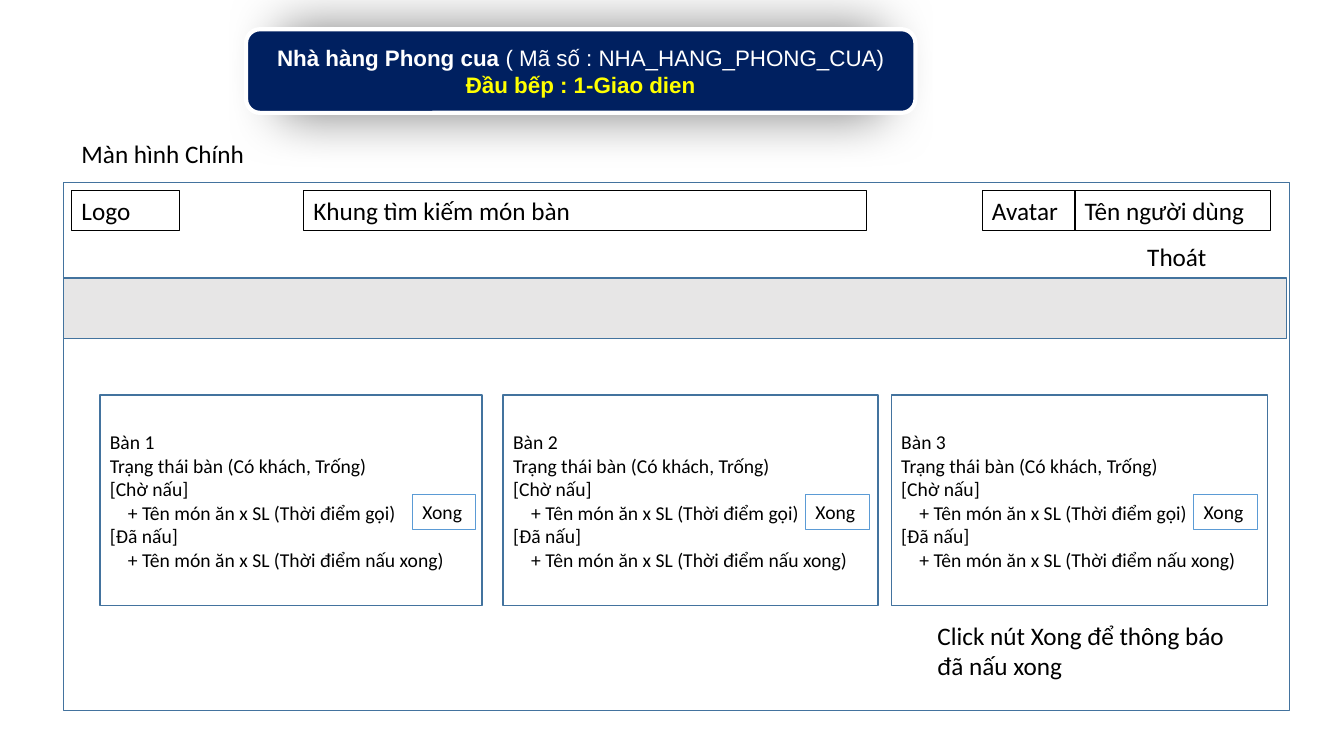
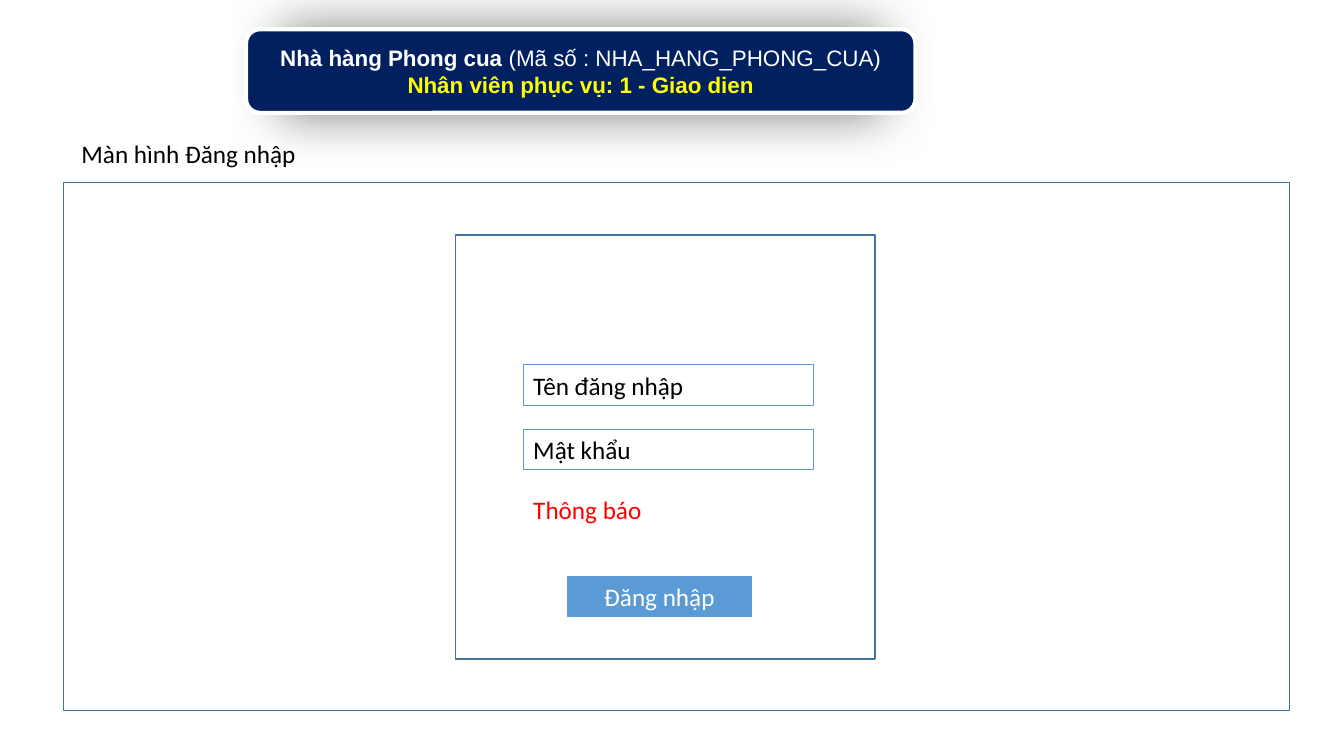
from lxml.etree import SubElement
from pptx import Presentation
from pptx.dml.color import RGBColor
from pptx.enum.shapes import MSO_SHAPE
from pptx.enum.text import MSO_ANCHOR, PP_ALIGN
from pptx.oxml.ns import qn
from pptx.util import Inches, Pt

BLACK = RGBColor(0x00, 0x00, 0x00)
WHITE = RGBColor(0xFF, 0xFF, 0xFF)
RED = RGBColor(0xFF, 0x00, 0x00)
YELLOW = RGBColor(0xFF, 0xFF, 0x00)
NAVY = RGBColor(0x00, 0x20, 0x60)
STEEL = RGBColor(0x43, 0x73, 0x9E)
BLUE = RGBColor(0x5B, 0x9B, 0xD5)
GRAY = RGBColor(0xE7, 0xE6, 0xE6)

FIELD_H = 0.4


def add_box(s, at, lines=(), size=18, color=BLACK, font="Calibri", fill=None, line=None,
            width=0.75, align=PP_ALIGN.LEFT, anchor=MSO_ANCHOR.TOP, shape=MSO_SHAPE.RECTANGLE):
    """Add a box; a line of text is a string or a list of (text, bold, color) runs."""
    at = [Inches(v) for v in at]
    if fill is None and line is None:
        sp = s.shapes.add_textbox(*at)
    else:
        sp = s.shapes.add_shape(shape, *at)
        sp.shadow.inherit = False
        if fill is None:
            sp.fill.background()
        else:
            sp.fill.solid()
            sp.fill.fore_color.rgb = fill
        sp.line.color.rgb = line
        sp.line.width = Pt(width)
    tf = sp.text_frame
    tf.word_wrap = True
    tf.vertical_anchor = anchor
    for i, runs in enumerate(lines):
        p = tf.add_paragraph() if i else tf.paragraphs[0]
        p.alignment = align
        if isinstance(runs, str):
            if runs.startswith("+"):
                p._p.get_or_add_pPr().set("marL", str(Inches(0.18)))
            runs = [(runs, False, color)]
        for text, bold, run_color in runs:
            r = p.add_run()
            r.text = text
            r.font.name = font
            r.font.size = Pt(size)
            r.font.bold = bold
            r.font.color.rgb = run_color
    return sp


def add_screen(prs, code, role, name):
    """Add a slide with the title banner, the screen name and the screen frame."""
    s = prs.slides.add_slide(prs.slide_layouts[6])
    title = [[("Nhà hàng Phong cua ", True, WHITE), (code, False, WHITE)],
             [(role, True, YELLOW)]]
    banner = add_box(s, (2.44, 0.29, 6.64, 0.83), title, size=16, font="Arial", fill=NAVY,
                     line=WHITE, width=3, align=PP_ALIGN.CENTER, anchor=MSO_ANCHOR.MIDDLE,
                     shape=MSO_SHAPE.ROUNDED_RECTANGLE)
    effects = banner._element.spPr.find(qn("a:effectLst"))
    shadow = SubElement(effects, qn("a:outerShdw"), blurRad=str(Pt(38)), dist="0",
                        dir="5400000", sx="90000", sy="100000", algn="ctr", rotWithShape="0")
    shade = SubElement(shadow, qn("a:srgbClr"), val=str(BLACK))
    SubElement(shade, qn("a:alpha"), val="49000")
    add_box(s, (0.71, 1.32, 4.36, FIELD_H), [name])
    add_box(s, (0.63, 1.81, 12.16, 5.24), line=STEEL, width=1)
    return s


prs = Presentation()
prs.slide_width = Inches(13.33)
prs.slide_height = Inches(7.5)

# Main screen
s = add_screen(prs, "( Mã số : NHA_HANG_PHONG_CUA)", "Đầu bếp : 1-Giao dien",
               "Màn hình Chính")
for left, width, label in [(0.71, 1.07, "Logo"), (3.01, 5.58, "Khung tìm kiếm món bàn"),
                           (9.74, 0.93, "Avatar"), (10.66, 1.94, "Tên người dùng")]:
    add_box(s, (left, 1.89, width, FIELD_H), [label], line=BLACK)
add_box(s, (11.28, 2.34, 1.21, FIELD_H), ["Thoát"])
add_box(s, (0.63, 2.76, 12.13, 0.6), fill=GRAY, line=STEEL, width=1)

order_lines = ["Trạng thái bàn (Có khách, Trống)",
               "[Chờ nấu]", "+ Tên món ăn x SL (Thời điểm gọi)",
               "[Đã nấu]", "+ Tên món ăn x SL (Thời điểm nấu xong)"]
tables = [(0.99, 3.79, 4.09), (4.99, 3.72, 7.99), (8.84, 3.73, 11.84)]
for number, (left, width, button_left) in enumerate(tables, 1):
    add_box(s, (left, 3.92, width, 2.09), [f"Bàn {number}"] + order_lines, size=14,
            line=STEEL, width=1, anchor=MSO_ANCHOR.MIDDLE)
    add_box(s, (button_left, 4.91, 0.63, 0.34), ["Xong"], size=14, line=BLUE)
add_box(s, (9.2, 6.1, 3.14, 0.71), ["Click nút Xong để thông báo đã nấu xong"])

# Login screen
s = add_screen(prs, "(Mã số : NHA_HANG_PHONG_CUA)", "Nhân viên phục vụ: 1 - Giao dien",
               "Màn hình Đăng nhập")
add_box(s, (4.52, 2.33, 4.16, 4.21), line=STEEL, width=1)
for top, label, color, line in [(3.62, "Tên đăng nhập", BLACK, BLUE),
                                (4.26, "Mật khẩu", BLACK, BLUE),
                                (4.85, "Thông báo", RED, None)]:
    add_box(s, (5.19, top, 2.88, FIELD_H), [label], color=color, line=line)
add_box(s, (5.63, 5.72, 1.82, FIELD_H), ["Đăng nhập"], color=WHITE, fill=BLUE, line=BLUE,
        align=PP_ALIGN.CENTER)

prs.save("out.pptx")
